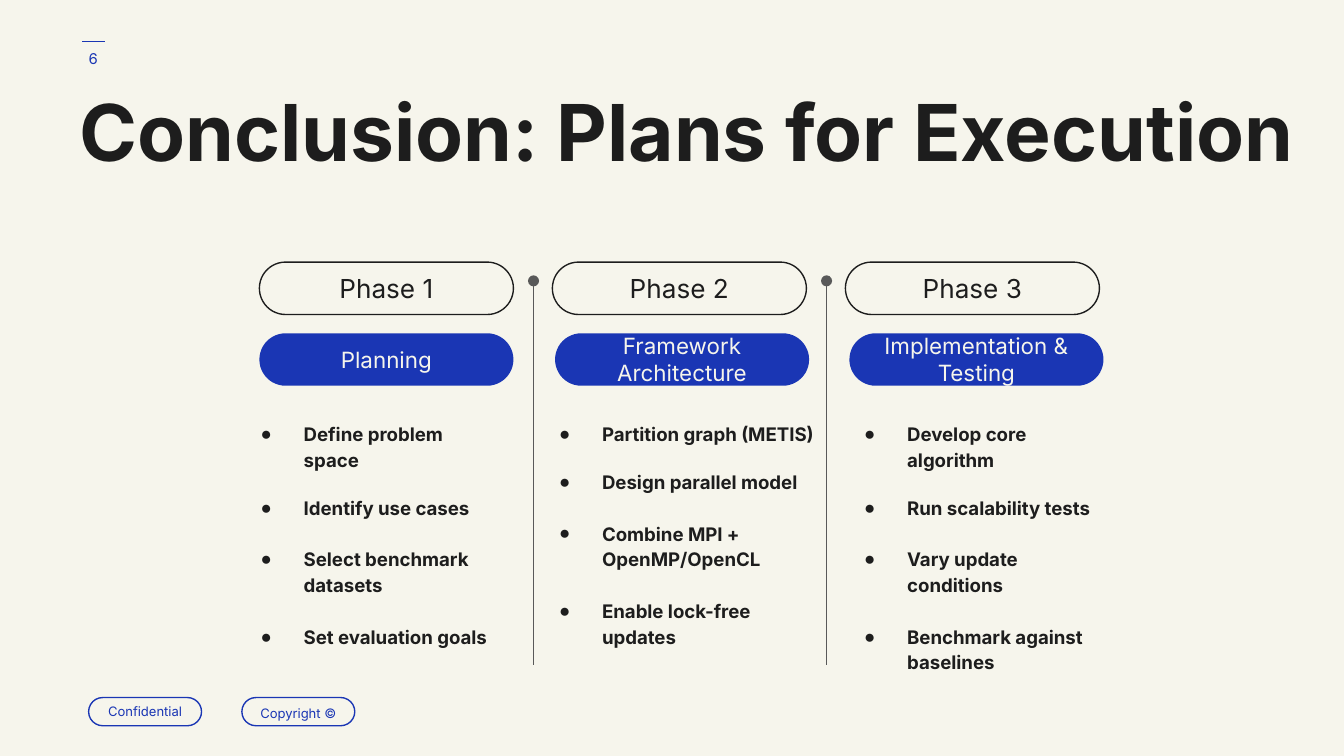
"""Build the closing slide with the three execution phases."""
from dataclasses import dataclass
from typing import Optional

from lxml import etree
from pptx import Presentation
from pptx import util as u
from pptx.dml.color import RGBColor
from pptx.enum import shapes, text
from pptx.oxml.ns import qn
from pptx.shapes.connector import Connector
from pptx.slide import Slide
from pptx.text.text import TextFrame, _Paragraph

CREAM = RGBColor(0xF6, 0xF5, 0xEC)
BLUE = RGBColor(0x1A, 0x36, 0xB4)
INK = RGBColor(0x1D, 0x1D, 0x1D)
GRAY = RGBColor(0x59, 0x59, 0x59)
FONT = "Inter"
PILL_WIDTH, PILL_HEIGHT = 1.89, 0.39
PHASE_LEFT, PHASE_PITCH = 1.93, 2.18


@dataclass(frozen=True)
class Box:
    left: float
    top: float
    width: float
    height: float

    def lengths(self) -> tuple:
        return tuple(u.Inches(value) for value in (self.left, self.top, self.width, self.height))


@dataclass(frozen=True)
class Phase:
    name: str
    name_left: float
    list_left: float
    list_width: float
    tasks: tuple[str, ...]


PHASES = (
    Phase("Planning", 1.93, 1.66, 2.10,
          ("Define problem space", "Identify use cases",
           "Select benchmark datasets", "Set evaluation goals")),
    Phase("Framework Architecture", 4.13, 3.88, 2.33,
          ("Partition graph (METIS)", "Design parallel model",
           "Combine MPI + OpenMP/OpenCL", "Enable lock-free updates")),
    Phase("Implementation & Testing", 6.32, 6.15, 2.19,
          ("Develop core algorithm", "Run scalability tests",
           "Vary update conditions", "Benchmark against baselines")),
)


def prepare_frame(frame: TextFrame, anchor: text.MSO_ANCHOR) -> None:
    frame.word_wrap = True
    frame.auto_size = text.MSO_AUTO_SIZE.NONE
    frame.vertical_anchor = anchor
    frame.margin_left = frame.margin_right = u.Inches(0.1)
    frame.margin_top = frame.margin_bottom = u.Inches(0.1)


def add_text(paragraph: _Paragraph, words: str, size: float, color: RGBColor,
             bold: bool = False, align: text.PP_ALIGN = text.PP_ALIGN.CENTER,
             spacing: float = 1.0, before: float = 0) -> None:
    paragraph.alignment = align
    paragraph.line_spacing = spacing
    paragraph.space_before = u.Pt(before)
    paragraph.space_after = u.Pt(0)
    run = paragraph.add_run()
    run.text = words
    run.font.name = FONT
    run.font.size = u.Pt(size)
    run.font.bold = bold
    run.font.color.rgb = color


def add_bullet(paragraph: _Paragraph) -> None:
    properties = paragraph._p.get_or_add_pPr()
    properties.set("marL", str(u.Inches(0.5)))
    properties.set("indent", str(u.Inches(-0.32)))
    color = etree.SubElement(properties, qn("a:buClr"))
    etree.SubElement(color, qn("a:srgbClr")).set("val", str(INK))
    etree.SubElement(properties, qn("a:buChar")).set("char", "●")


def add_pill(slide: Slide, box: Box, words: str, size: float, color: RGBColor,
             fill: Optional[RGBColor] = None, spacing: float = 1.0) -> None:
    pill = slide.shapes.add_shape(shapes.MSO_SHAPE.ROUNDED_RECTANGLE, *box.lengths())
    pill.adjustments[0] = 0.5
    pill.shadow.inherit = False
    if fill is None:
        pill.fill.background()
        pill.line.color.rgb = color
        pill.line.width = u.Pt(0.75)
    else:
        pill.fill.solid()
        pill.fill.fore_color.rgb = fill
        pill.line.fill.background()
    prepare_frame(pill.text_frame, text.MSO_ANCHOR.MIDDLE)
    add_text(pill.text_frame.paragraphs[0], words, size, color, spacing=spacing)


def add_line(slide: Slide, start: tuple[float, float], end: tuple[float, float],
             color: RGBColor) -> Connector:
    line = slide.shapes.add_connector(
        shapes.MSO_CONNECTOR.STRAIGHT, *(u.Inches(value) for value in start + end))
    line.line.color.rgb = color
    line.line.width = u.Pt(0.75)
    etree.SubElement(line.element.spPr, qn("a:effectLst"))
    return line


def add_divider(slide: Slide, left: float) -> None:
    divider = add_line(slide, (left, 2.09), (left, 4.95), GRAY)
    outline = divider.element.spPr.find(qn("a:ln"))
    etree.SubElement(outline, qn("a:headEnd")).set("type", "oval")


def place(placeholder, box: Box) -> None:
    placeholder.left, placeholder.top, placeholder.width, placeholder.height = box.lengths()
    prepare_frame(placeholder.text_frame, text.MSO_ANCHOR.TOP)


def fill_tasks(placeholder, phase: Phase) -> None:
    place(placeholder, Box(phase.list_left, 3.02, phase.list_width, 1.88))
    frame = placeholder.text_frame
    for task, before in zip(phase.tasks, (0, 12, 13.8, 13.8)):
        paragraph = frame.add_paragraph() if before else frame.paragraphs[0]
        add_bullet(paragraph)
        add_text(paragraph, task, 10, INK, bold=True, align=text.PP_ALIGN.LEFT,
                 spacing=1.15, before=before)


def main() -> None:
    presentation = Presentation()
    presentation.slide_width = u.Inches(10)
    presentation.slide_height = presentation.slide_width * 9 // 16
    slide = presentation.slides.add_slide(
        presentation.slide_layouts.get_by_name("Comparison"))
    slide.background.fill.solid()
    slide.background.fill.fore_color.rgb = CREAM

    title, *lists, spare = slide.placeholders
    spare.element.getparent().remove(spare.element)
    place(title, Box(0.49, 0.65, 9.36, 1.14))
    add_text(title.text_frame.paragraphs[0], "Conclusion: Plans for Execution", 42, INK,
             bold=True, align=text.PP_ALIGN.LEFT, spacing=0.8)

    add_line(slide, (0.78, 0.31), (0.61, 0.31), BLUE)
    add_pill(slide, Box(0.66, 5.19, 0.84, 0.21), "Confidential", 7, BLUE)
    add_pill(slide, Box(1.8, 5.19, 0.84, 0.21), "Copyright ©", 7, BLUE, spacing=1.15)

    for index, (phase, placeholder) in enumerate(zip(PHASES, lists)):
        fill_tasks(placeholder, phase)
        left = PHASE_LEFT + index * PHASE_PITCH
        add_pill(slide, Box(left, 1.95, PILL_WIDTH, PILL_HEIGHT),
                 f"Phase {index + 1}", 14, INK)
        add_pill(slide, Box(phase.name_left, 2.48, PILL_WIDTH, PILL_HEIGHT),
                 phase.name, 12, CREAM, fill=BLUE)
        if index:
            add_divider(slide, 3.97 + (index - 1) * PHASE_PITCH)

    page_number = slide.shapes.add_textbox(*Box(0.46, 0.22, 0.47, 0.43).lengths())
    prepare_frame(page_number.text_frame, text.MSO_ANCHOR.MIDDLE)
    add_text(page_number.text_frame.paragraphs[0], "6", 8, BLUE)

    presentation.save("out.pptx")


if __name__ == "__main__":
    main()
